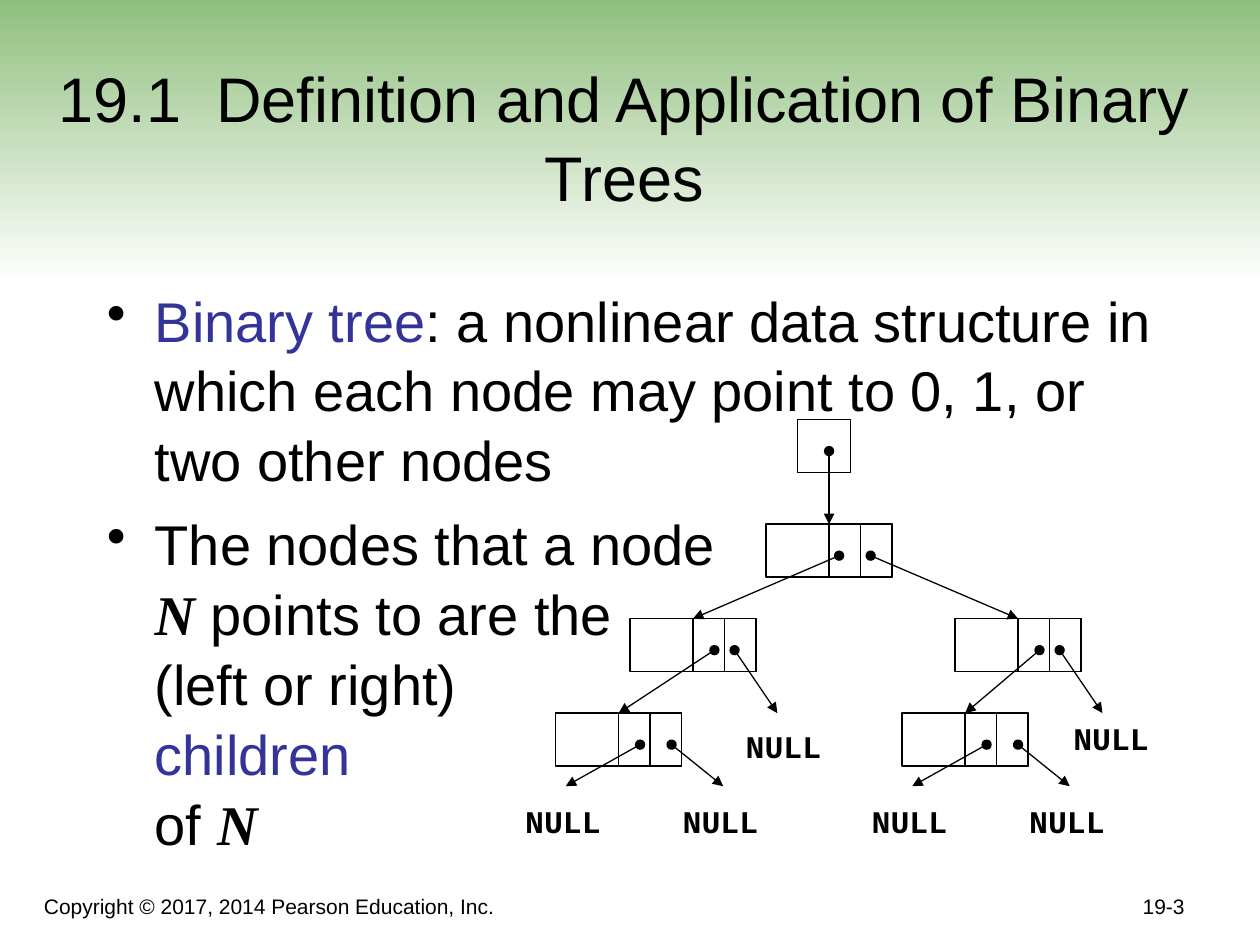
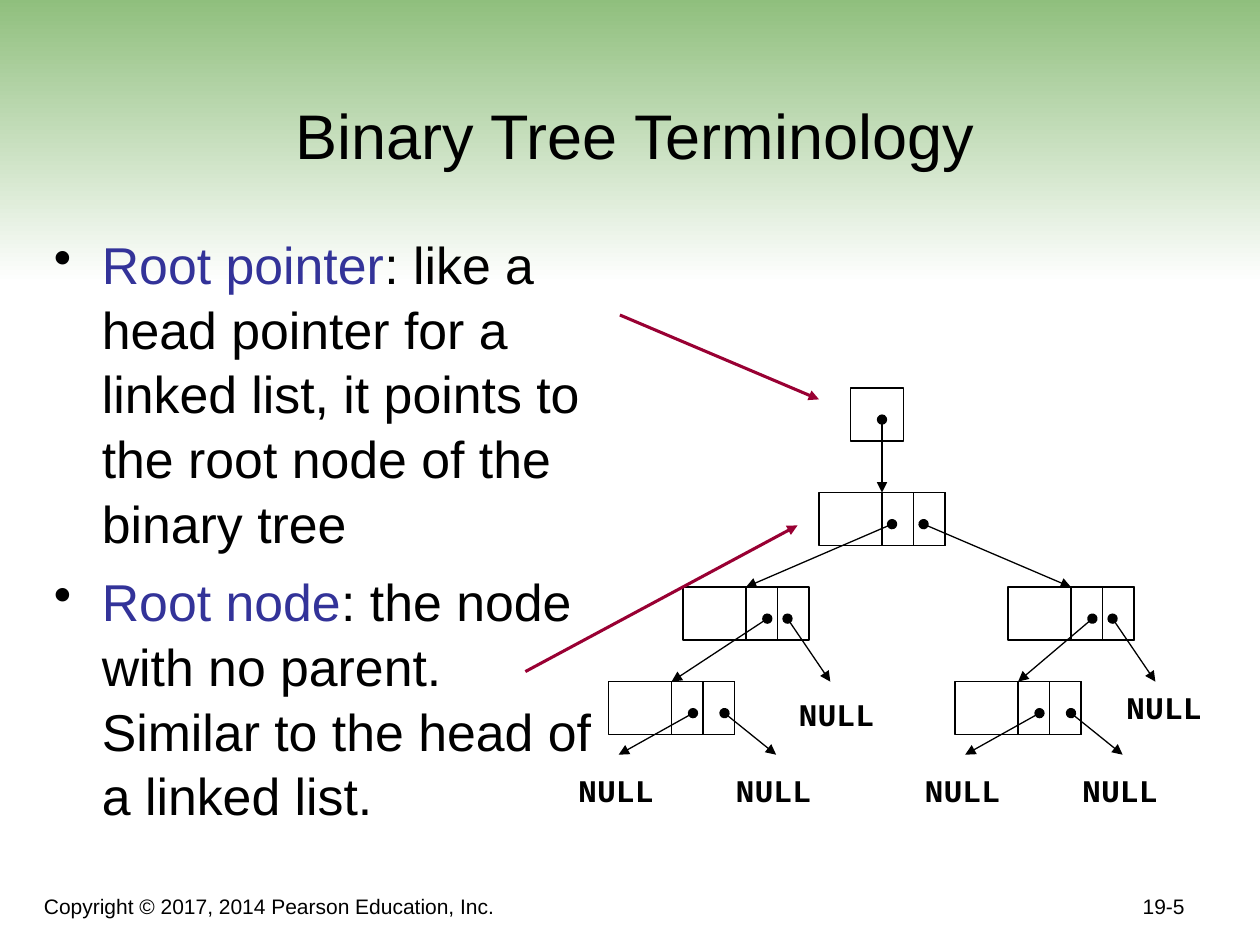
"""Builds two slides that introduce binary trees."""
from lxml import etree
from pptx import Presentation
from pptx import util as u
from pptx.dml.color import RGBColor
from pptx.enum import shapes, text
from pptx.oxml import ns

BLACK = RGBColor(0, 0, 0)
GREEN = RGBColor(0x8C, 0xBD, 0x79)
WHITE = RGBColor(255, 255, 255)
BLUE = RGBColor(0x33, 0x33, 0x99)
RED = RGBColor(0x99, 0x00, 0x33)

BASE = {"name": "Arial", "size": u.Pt(12), "bold": False, "italic": False}
TITLE = {**BASE, "size": u.Pt(36)}
CODE = {**BASE, "name": "Courier New", "size": u.Pt(18), "bold": True}
VAR = {"name": "Times New Roman", "bold": True, "italic": True}
TERM = {"color": BLUE}

CELL = 0.42
LEFT, RIGHT = text.PP_ALIGN.LEFT, text.PP_ALIGN.RIGHT
TOP, BOTTOM = text.MSO_ANCHOR.TOP, text.MSO_ANCHOR.BOTTOM


def null(x, y, dx=-0.42, dy=0.08):
    return {"end": (x, y), "label": (x + dx, y + dy)}


def leaf(x, y):
    return {"at": (x, y), "dots": (0.67, 0.92),
            "kids": [null(0.08, 0.58), null(1.33, 0.58)]}


TREE = {"at": (-0.25, 0.83), "dots": (0.58, 0.83), "kids": [
    {"at": (-1.33, 1.58), "dots": (0.67, 0.83),
     "kids": [leaf(-1.92, 2.33), null(1.17, 0.75, -0.35, 0.06)]},
    {"at": (1.25, 1.58), "dots": (0.67, 0.83),
     "kids": [leaf(0.83, 2.33), null(1.17, 0.75, -0.33, 0)]},
]}


class Deck:
    def __init__(self):
        self.prs = Presentation()
        self.prs.slide_width, self.prs.slide_height = u.Inches(10), u.Inches(7.5)
        self.slide = None

    def style(self, font, form):
        for key, val in form.items():
            if key != "color":
                setattr(font, key, val)
        font.color.rgb = form.get("color", BLACK)

    def start(self, title, box, page):
        self.slide = self.prs.slides.add_slide(self.prs.slide_layouts[5])
        self.band()
        head = self.slide.shapes.title
        for key, val in zip(("left", "top", "width", "height"), box):
            setattr(head, key, u.Inches(val))
        frame = head.text_frame
        frame.text = title
        frame.vertical_anchor = BOTTOM
        frame.auto_size = text.MSO_AUTO_SIZE.NONE
        para = frame.paragraphs[0]
        para.alignment = text.PP_ALIGN.CENTER
        para.line_spacing = 1.05
        self.style(para.runs[0].font, TITLE)
        self.label("Copyright © 2017, 2014 Pearson Education, Inc.",
                   (0.25, 6.92, 6.75, 0.42), anchor=BOTTOM)
        self.label(page, (7.42, 6.84, 2.08, 0.5), align=RIGHT, anchor=BOTTOM)

    def band(self):
        band = self.rect(0, -0.08, 10, 2.33)
        band.line.fill.background()
        band.fill.gradient()
        band.fill.gradient_angle = 270
        for stop, color, pos in zip(band.fill.gradient_stops, (GREEN, WHITE), (0, 1)):
            stop.color.rgb = color
            stop.position = pos
        self.slide.shapes._spTree.insert(2, band._element)

    def rect(self, x, y, w, h=CELL):
        box = self.slide.shapes.add_shape(
            shapes.MSO_SHAPE.RECTANGLE, *map(u.Inches, (x, y, w, h)))
        box.shadow.inherit = False
        box.fill.background()
        box.line.color.rgb = BLACK
        box.line.width = u.Pt(0.75)
        return box

    def frame(self, box, wrap=True, anchor=TOP):
        frame = self.slide.shapes.add_textbox(*map(u.Inches, box)).text_frame
        frame.word_wrap = wrap
        frame.vertical_anchor = anchor
        return frame

    def label(self, words, box, form=BASE, wrap=True, align=LEFT, anchor=TOP):
        para = self.frame(box, wrap, anchor).paragraphs[0]
        para.alignment = align
        run = para.add_run()
        run.text = words
        self.style(run.font, form)

    def body(self, box, size, paras):
        frame = self.frame(box)
        frame.margin_right = 0
        for num, (dot, runs) in enumerate(paras):
            para = frame.add_paragraph() if num else frame.paragraphs[0]
            para.line_spacing = 1.045
            para.space_before = u.Pt(8 if dot and num else 0)
            props = para._p.get_or_add_pPr()
            props.set("marL", str(u.Inches(0.38)))
            props.set("indent", str(u.Inches(-0.38 if dot else 0)))
            if dot:
                tint = etree.SubElement(props, ns.qn("a:buClr"))
                etree.SubElement(tint, ns.qn("a:srgbClr"), val=str(BLACK))
                etree.SubElement(props, ns.qn("a:buChar"), char="•")
            for words, form in runs:
                run = para.add_run()
                run.text = words
                self.style(run.font, {**BASE, "size": u.Pt(size), **form})

    def arrow(self, start, end, goal=None, color=BLACK, width=0.75, dot=True):
        line = self.slide.shapes.add_connector(
            shapes.MSO_CONNECTOR.STRAIGHT, *map(u.Inches, (*start, *end)))
        if goal is not None:
            line.end_connect(goal, 0)
        line.line.color.rgb = color
        line.line.width = u.Pt(width)
        edge = line.line._get_or_add_ln()
        if dot:
            etree.SubElement(edge, ns.qn("a:headEnd"), type="oval")
        etree.SubElement(edge, ns.qn("a:tailEnd"), type="triangle")
        etree.SubElement(line._element.spPr, ns.qn("a:effectLst"))

    def node(self, item, x, y):
        left, top = x + item["at"][0], y + item["at"][1]
        whole = self.rect(left, top, 1)
        for step in (0.5, 0.75):
            self.rect(left + step, top, 0.25)
        for dot, kid in zip(item["dots"], item["kids"]):
            start = (left + dot, top + 0.25)
            if "label" in kid:
                end, spot = kid["end"], kid["label"]
                self.arrow(start, (left + end[0], top + end[1]))
                self.label("NULL", (left + spot[0], top + spot[1], 0.8, 0.4),
                           CODE, wrap=False)
            else:
                goal = self.node(kid, x, y)
                self.arrow(start, start, goal)
        return whole

    def tree(self, x, y):
        self.rect(x, y, CELL)
        start = (x + 0.25, y + 0.25)
        self.arrow(start, start, self.node(TREE, x, y))


def main():
    deck = Deck()
    deck.start("19.1  Definition and Application of Binary Trees",
               (0.33, 0.5, 9.25, 1.25), "19-3")
    deck.body((0.75, 2.2, 8.5, 4.55), 32, [
        (True, [("Binary tree", TERM),
                (": a nonlinear data structure in which each node may point "
                 "to 0, 1, or two other nodes", {})]),
        (True, [("The nodes that a node", {})]),
        (False, [("N", VAR), (" points to are the", {})]),
        (False, [("(left or right)", {})]),
        (False, [("children", TERM)]),
        (False, [("of ", {}), ("N", VAR)]),
    ])
    deck.tree(6.33, 3.33)

    deck.start("Binary Tree Terminology", (0.33, 0.33, 9.42, 1.09), "19-5")
    deck.body((0.33, 1.78, 4.62, 4.97), 29.6, [
        (True, [("Root pointer", TERM),
                (": like a head pointer for a linked list, it points to the "
                 "root node of the binary tree", {})]),
        (True, [("Root node", TERM),
                (": the node with no parent.  Similar to the head of a "
                 "linked list.", {})]),
    ])
    deck.tree(6.75, 3.08)
    for start, end in (((4.92, 2.5), (6.5, 3.17)), ((4.17, 5.33), (6.33, 4.17))):
        deck.arrow(start, end, color=RED, width=1.75, dot=False)
    deck.prs.save("out.pptx")


if __name__ == "__main__":
    main()
